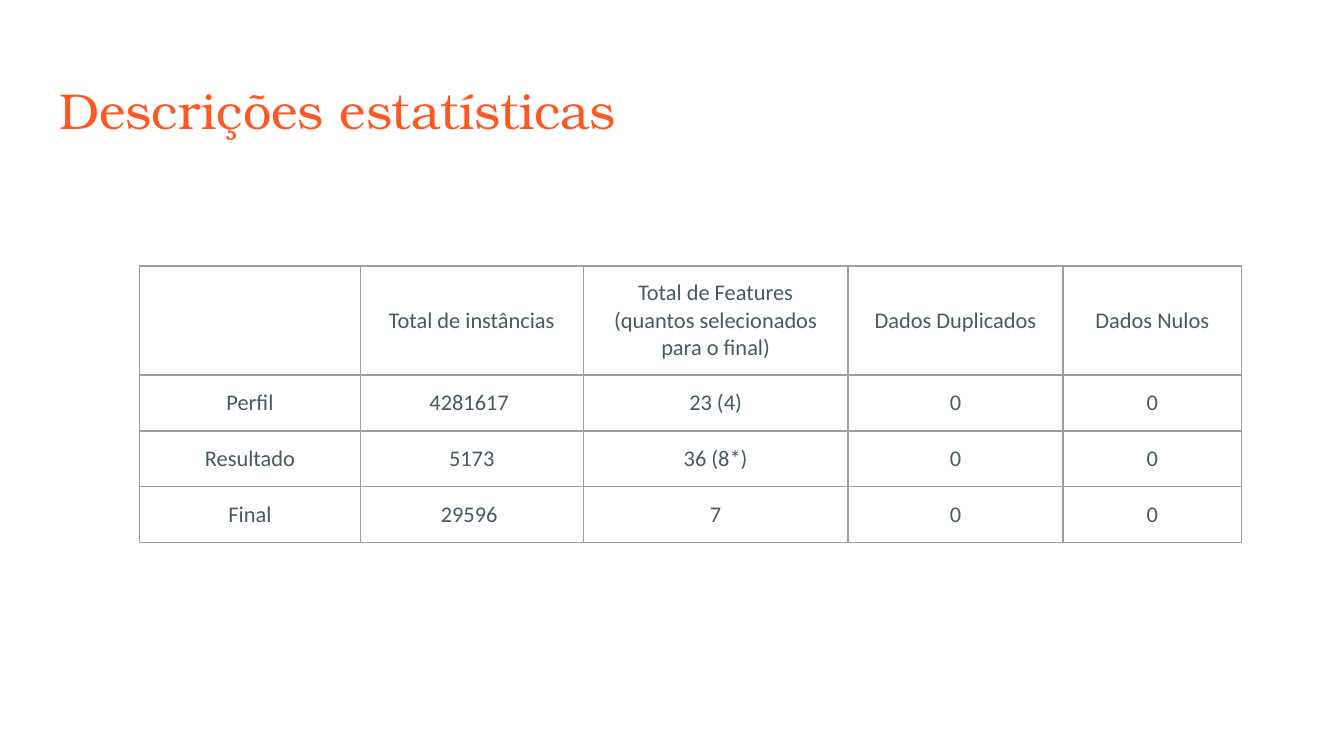
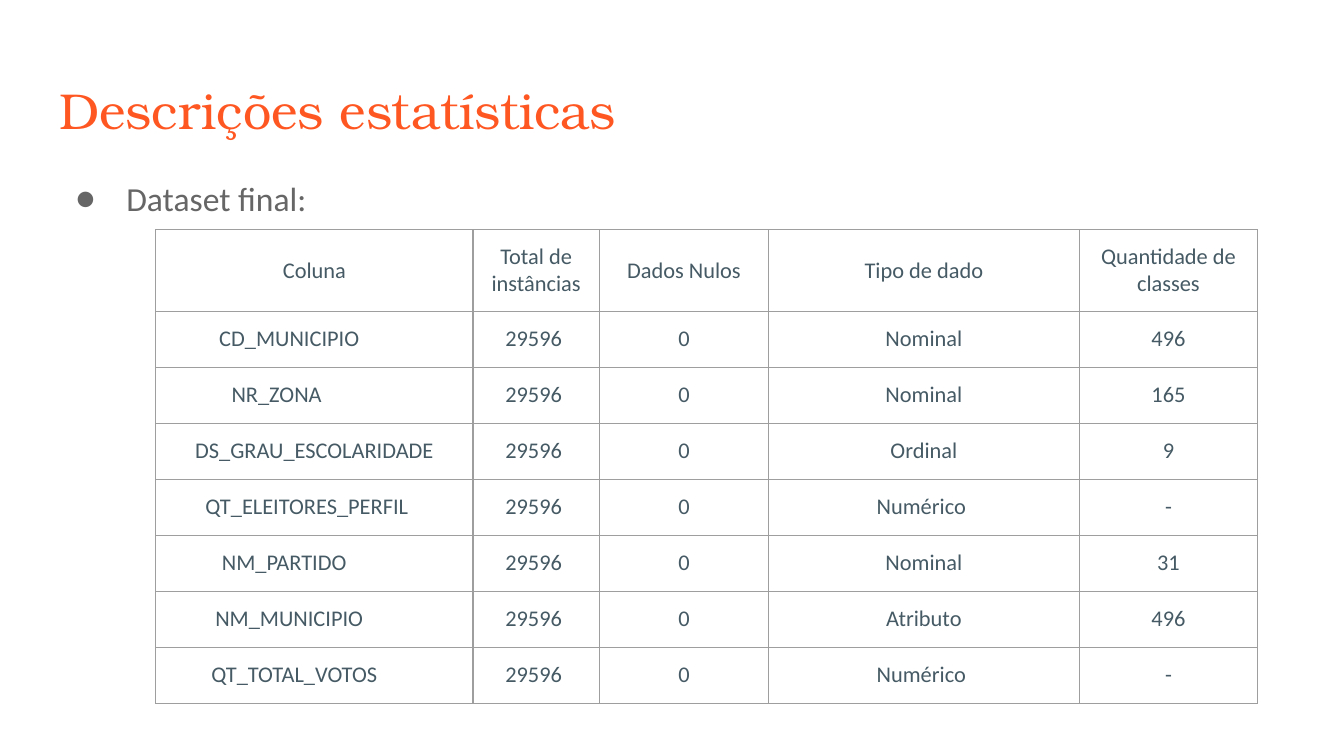
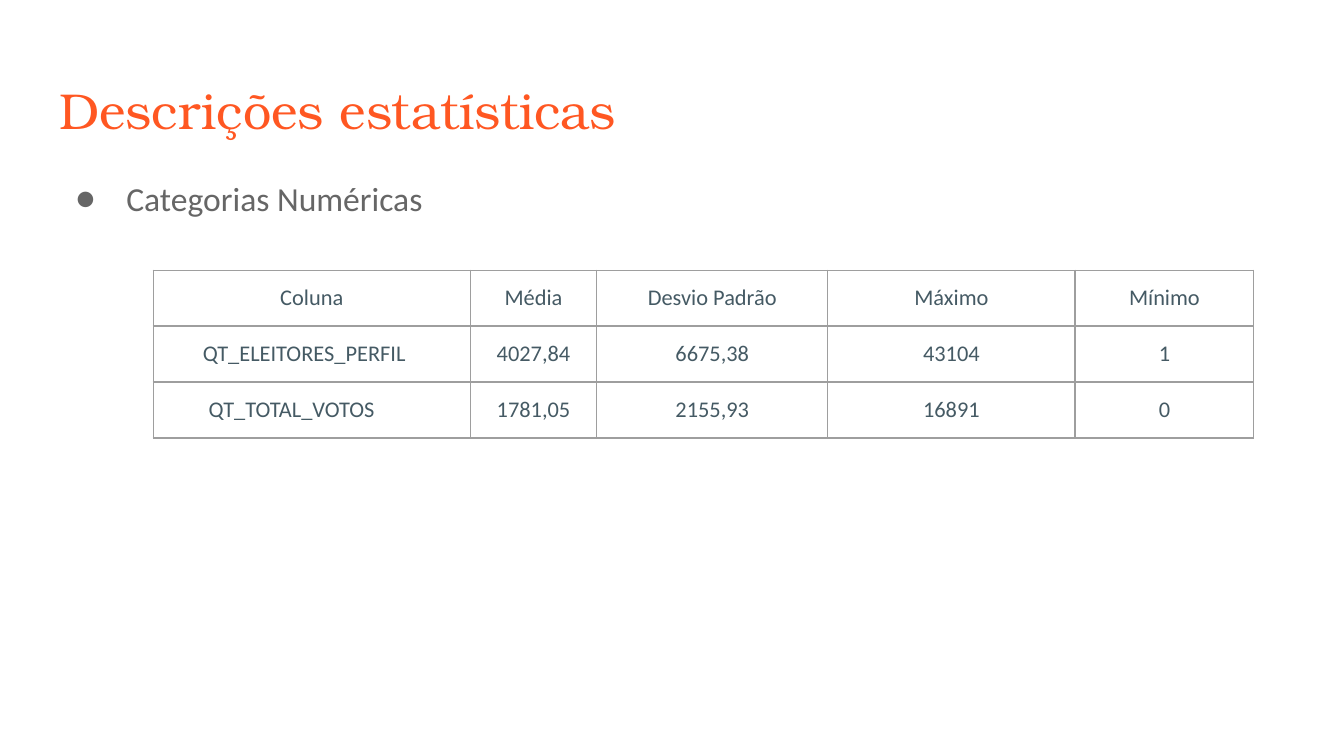
import lxml.etree
import pptx
import pptx.dml.color
import pptx.enum.text
import pptx.oxml.ns
import pptx.util

WIDE = pptx.util.Inches(10)
HIGH = WIDE * 9 // 16
INSET = pptx.util.Inches(0.1)
SPACE = pptx.util.Pt(2.7)
ALIGN = pptx.enum.text.PP_ALIGN
ANCHOR = pptx.enum.text.MSO_ANCHOR
ROW = 7.41
PAD = 22
FULL = 20

COLORS = {"title": "FF5722", "body": "666666", "cell": "455A64", "line": "9E9E9E"}
FONTS = {
    "title": {"name": "TeX Gyre Bonum", "size": pptx.util.Pt(27), "bold": False},
    "body": {"name": "Calibri", "size": pptx.util.Pt(18), "bold": False},
    "cell": {"name": "Calibri", "size": pptx.util.Pt(12), "bold": False},
}
PARAS = {
    "title": {"alignment": ALIGN.LEFT},
    "body": {"alignment": ALIGN.LEFT, "line_spacing": 1.15, "space_before": pptx.util.Pt(0)},
    "cell": {"alignment": ALIGN.CENTER},
}
EDGES = {
    "margin_left": INSET, "margin_right": INSET,
    "margin_top": INSET, "margin_bottom": INSET,
}
FRAME = {
    **EDGES, "vertical_anchor": ANCHOR.TOP, "word_wrap": True,
    "auto_size": pptx.enum.text.MSO_AUTO_SIZE.NONE,
}
CELL = {**EDGES, "vertical_anchor": ANCHOR.MIDDLE}

STATS = [
    ["", "Total de instâncias", "Total de Features\n(quantos selecionados para o final)",
     "Dados Duplicados", "Dados Nulos"],
    ["Perfil", "4281617 ", "23 (4)", "0", "0"],
    ["Resultado", "5173", "36 (8*)", "0", "0"],
    ["Final", "29596 ", "7", "0", "0"],
]
FIELDS = [
    ("CD_MUNICIPIO", "Nominal", "496"),
    ("NR_ZONA", "Nominal", "165"),
    ("DS_GRAU_ESCOLARIDADE", "Ordinal", "9"),
    ("QT_ELEITORES_PERFIL", "Numérico ", "-"),
    ("NM_PARTIDO", "Nominal", "31"),
    ("NM_MUNICIPIO", "Atributo", "496"),
    ("QT_TOTAL_VOTOS", "Numérico ", "-"),
]
FINAL = [["Coluna", "Total de instâncias", "Dados Nulos", "Tipo de dado",
          "Quantidade de classes"]]
FINAL += [[name, "29596 ", "0", kind, count] for name, kind, count in FIELDS]
NUMBERS = [
    ["Coluna", "Média", "Desvio Padrão", "Máximo", "Mínimo"],
    ["QT_ELEITORES_PERFIL", "4027,84", "6675,38", "43104", "1"],
    ["QT_TOTAL_VOTOS", "1781,05", "2155,93", "16891", "0"],
]


def across(share):
    return int(WIDE * share / 100)


def down(share):
    return int(HIGH * share / 100)


def apply(thing, values):
    for key, value in values.items():
        setattr(thing, key, value)


def node(parent, tag, **values):
    return lxml.etree.SubElement(parent, pptx.oxml.ns.qn(tag), **values)


def tint(parent, color):
    node(parent, "a:srgbClr", val=COLORS[color])


def write(frame, text, role):
    frame.text = text
    for para in frame.paragraphs:
        apply(para, PARAS[role])
        for run in para.runs:
            apply(run.font, FONTS[role])
            run.font.color.rgb = pptx.dml.color.RGBColor.from_string(COLORS[role])


def place(shape, left, top, width, height):
    apply(shape, {"left": across(left), "top": down(top),
                  "width": across(width), "height": down(height)})
    apply(shape.text_frame, FRAME)


def head(slide):
    title = slide.shapes.title
    place(title, 3.4, 8.71, 93.2, 11.2)
    write(title.text_frame, "Descrições estatísticas", "title")


def bullet(slide, text, width):
    body = slide.placeholders[1]
    place(body, 3.4, 20.98, width, 9.42)
    write(body.text_frame, text, "body")
    props = body.text_frame.paragraphs[0]._p.get_or_add_pPr()
    props.set("marL", str(pptx.util.Inches(0.5)))
    props.set("indent", str(-pptx.util.Inches(0.38)))
    tint(node(props, "a:buClr"), "body")
    node(props, "a:buFont", typeface="Calibri")
    node(props, "a:buChar", char="●")


def border(cell):
    props = cell._tc.get_or_add_tcPr()
    for side in "LRTB":
        line = node(props, f"a:ln{side}", w=str(pptx.util.Pt(0.75)))
        tint(node(line, "a:solidFill"), "line")


def grid(slide, left, top, widths, rows, shift=False):
    table = slide.shapes.add_table(
        len(rows), len(widths), across(left), down(top),
        across(sum(widths)), down(ROW * len(rows))).table
    apply(table, {"first_row": False, "horz_banding": False})
    for column, width in zip(table.columns, widths):
        column.width = across(width)
    for r, row in enumerate(rows):
        table.rows[r].height = down(ROW)
        for c, text in enumerate(row):
            cell = table.cell(r, c)
            apply(cell, CELL)
            border(cell)
            cell.fill.background()
            write(cell.text_frame, text, "cell")
            if shift and r and not c and len(text) < FULL:
                cell.margin_right = INSET + SPACE * (PAD - len(text))


def main():
    deck = pptx.Presentation()
    apply(deck, {"slide_width": WIDE, "slide_height": HIGH})
    listed, plain = deck.slide_layouts[1], deck.slide_layouts[5]

    slide = deck.slides.add_slide(plain)
    head(slide)
    grid(slide, 10.4, 35.2, [16.4, 16.6, 19.7, 16, 13.3], STATS)

    slide = deck.slides.add_slide(listed)
    head(slide)
    grid(slide, 11.6, 30.4, [23.6, 9.4, 12.6, 23.1, 13.3], FINAL, True)
    bullet(slide, "Dataset final:", 28.5)

    slide = deck.slides.add_slide(listed)
    head(slide)
    grid(slide, 11.4, 35.73, [23.6, 9.4, 17.2, 18.4, 13.3], NUMBERS, True)
    bullet(slide, "Categorias Numéricas", 40.1)

    deck.save("out.pptx")


if __name__ == "__main__":
    main()
